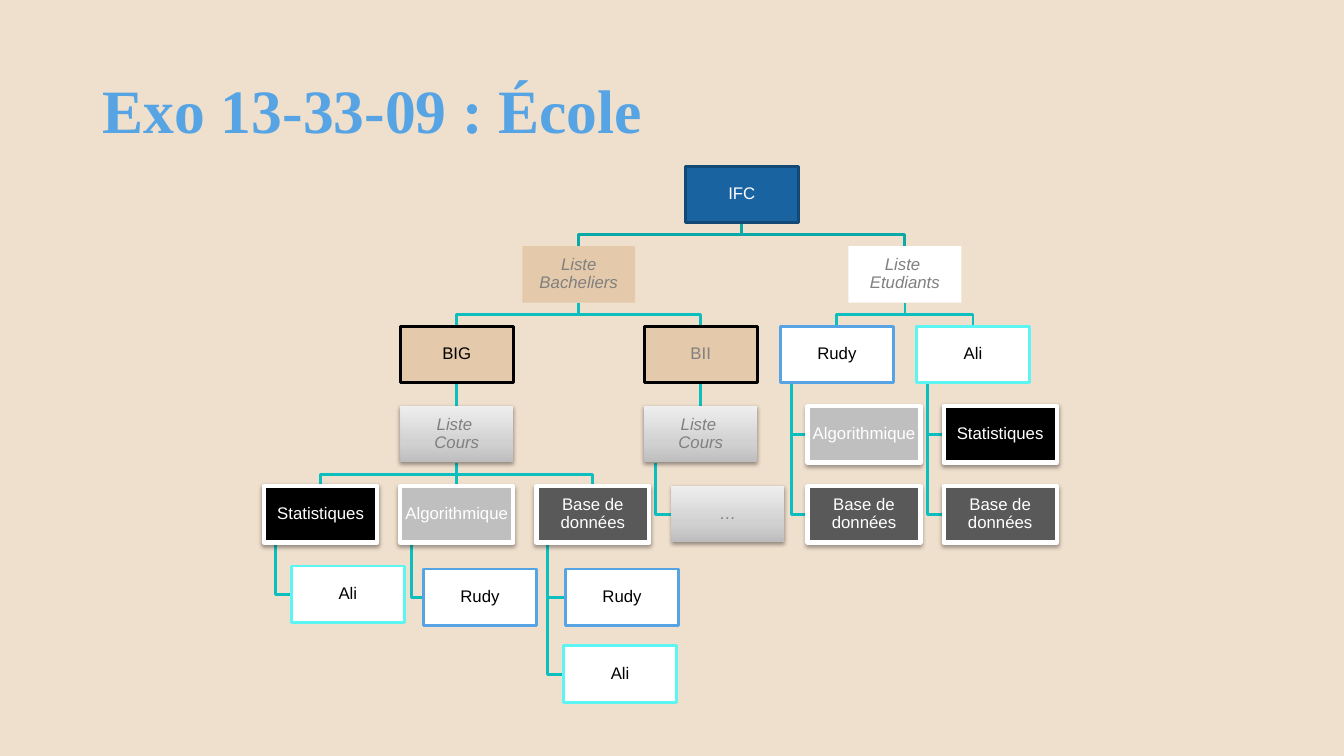
import pptx
import pptx.util
import pptx.dml.color
import pptx.enum.shapes
import pptx.enum.text
import pptx.oxml
import pptx.oxml.ns

Inches = pptx.util.Inches

# Content: each node is (text, style, way its children hang, children, nudge)
TITLE = "Exo 13-33-09 : École"


def node(text, style, way="fork", kids=(), nudge=(0, 0)):
    return dict(text=text, style=style, way=way, kids=kids, nudge=nudge)


def stats(*kids):
    return node("Statistiques", "black", "hang", kids)


def algo(*kids):
    return node("Algorithmique", "silver", "hang", kids)


def data(*kids):
    return node("Base de données", "dark", "hang", kids)


def rudy(*kids, nudge=(0, 0)):
    return node("Rudy", "blue", "hang", kids, nudge)


def ali(*kids):
    return node("Ali", "cyan", "hang", kids)


TREE = node("IFC", "root", kids=[
    node("Liste Bacheliers", "tan", kids=[
        node("BIG", "big", kids=[
            node("Liste \nCours", "grad", kids=[
                stats(ali()),
                algo(rudy(nudge=(-0.04, 0.03))),
                data(rudy(nudge=(0.02, 0.03)), ali()),
            ]),
        ]),
        node("BII", "bii", kids=[
            node("Liste \nCours", "grad", "hang", [node("…", "grad")]),
        ]),
    ]),
    node("Liste \nEtudiants", "white", kids=[
        rudy(algo(), data()),
        ali(stats(), data()),
    ]),
])

# Theme. Box styles: fill, line, line width, text colour, italic, shadow
GRAY = "808080"
THEME = dict(
    back="EFDFCD", title="56A4E4", head="Times New Roman", body="Arial",
    big=44, small=12, link="0CBFBE", top="0AA9A7", wire=2,
    grad=[(0, "BDBDBD"), (35, "D1D1D1"), (100, "EEEEEE")],
    box=dict(
        root=("1963A1", "124977", 2, "FFFFFF", False, None),
        tan=("E4C9AB", None, 0, GRAY, True, None),
        white=("FFFFFF", None, 0, GRAY, True, None),
        big=("E4C9AB", "000000", 2, "000000", False, None),
        bii=("E4C9AB", "000000", 2, GRAY, False, None),
        grad=(None, None, 0, GRAY, True, (38, 1.6)),
        black=("000000", "FFFFFF", 3, "FFFFFF", False, (38, 1.6)),
        silver=("BFBFBF", "FFFFFF", 3, "FFFFFF", False, (35, 1.8)),
        dark=("595959", "FFFFFF", 3, "FFFFFF", False, (35, 1.8)),
        blue=("FFFFFF", "56A4E4", 2, "000000", False, None),
        cyan=("FFFFFF", "5DF5F3", 2, "000000", False, None),
    ),
)

# Layout, in inches
WIDE, HIGH = 1.12, 0.56
TOP, ROW = 1.65, 0.793
STEM, DENT = 0.11, 0.27
COLS = iter([left + 1.35 * i for left in (2.62, 6.39) for i in range(3)])
NS = pptx.oxml.ns.nsdecls("a")


def tint(code):
    return pptx.dml.color.RGBColor.from_string(code)


def write(frame, text, font, size, color, bold=False, italic=False,
          align="CENTER", space=0.9, pad=None):
    frame.word_wrap = True
    frame.vertical_anchor = pptx.enum.text.MSO_ANCHOR.MIDDLE
    if pad is not None:
        frame.margin_left = frame.margin_right = Inches(pad)
        frame.margin_top = frame.margin_bottom = Inches(pad)
    para = frame.paragraphs[0]
    para.alignment = getattr(pptx.enum.text.PP_ALIGN, align)
    para.line_spacing = space
    for i, line in enumerate(text.split("\n")):
        if i:
            para.add_line_break()
        run = para.add_run()
        run.text = line
        run.font.name, run.font.size = font, pptx.util.Pt(size)
        run.font.bold, run.font.italic = bold, italic
        run.font.color.rgb = tint(color)


def place(item, row, left=None):
    """Set the corner of each box; a fork centres over its children."""
    fork = item["way"] == "fork" and item["kids"]
    if fork:
        for kid in item["kids"]:
            place(kid, row + 1)
        left = (item["kids"][0]["x"] + item["kids"][-1]["x"]) / 2
    elif left is None:
        left = next(COLS)
    dx, dy = item["nudge"]
    item["x"], item["y"] = left + dx, TOP + ROW * row + dy
    if not fork:
        for i, kid in enumerate(item["kids"]):
            place(kid, row + 1 + i, left + DENT)


def walk(item):
    yield item
    for kid in item["kids"]:
        yield from walk(kid)


def link(shapes, item, kid, color):
    base = item["y"] + HIGH
    if item["way"] == "hang":
        x, y = item["x"] + STEM, kid["y"] + HIGH / 2
        spots = [(x, base), (x, y), (kid["x"], y)]
    else:
        x, end = item["x"] + WIDE / 2, kid["x"] + WIDE / 2
        mid = (base + kid["y"]) / 2
        spots = [(x, base), (x, mid), (end, mid), (end, kid["y"])]
    spots = [(Inches(x), Inches(y)) for x, y in spots]
    if spots[0][0] == spots[-1][0]:
        wire = shapes.add_connector(
            pptx.enum.shapes.MSO_CONNECTOR.STRAIGHT, *spots[0], *spots[-1])
        wire._element.spPr.append(pptx.oxml.parse_xml(f"<a:effectLst {NS}/>"))
    else:
        form = shapes.build_freeform(*spots[0])
        form.add_line_segments(spots[1:], close=False)
        wire = form.convert_to_shape()
        wire.shadow.inherit = False
        wire.fill.background()
    wire.line.color.rgb = tint(color)
    wire.line.width = pptx.util.Pt(THEME["wire"])


def shade(shape):
    shape.fill.gradient()
    shape.fill.gradient_angle = 90
    stops = shape._element.spPr.find(".//" + pptx.oxml.ns.qn("a:gsLst"))
    for stop in list(stops):
        stops.remove(stop)
    for spot, code in THEME["grad"]:
        stops.append(pptx.oxml.parse_xml(
            f'<a:gs {NS} pos="{spot * 1000}"><a:srgbClr val="{code}"/></a:gs>'))


def draw(shapes, item):
    fill, edge, width, color, italic, drop = THEME["box"][item["style"]]
    spot = [Inches(v) for v in (item["x"], item["y"], WIDE, HIGH)]
    box = shapes.add_shape(pptx.enum.shapes.MSO_SHAPE.RECTANGLE, *spot)
    if fill:
        box.fill.solid()
        box.fill.fore_color.rgb = tint(fill)
    else:
        shade(box)
    if edge:
        box.line.color.rgb = tint(edge)
        box.line.width = pptx.util.Pt(width)
    else:
        box.line.fill.background()
    box.shadow.inherit = False
    if drop:
        alpha, dist = drop
        glow = box._element.spPr.find(pptx.oxml.ns.qn("a:effectLst"))
        glow.append(pptx.oxml.parse_xml(
            f'<a:outerShdw {NS} blurRad="{pptx.util.Pt(3.1)}" '
            f'dist="{pptx.util.Pt(dist)}" dir="5400000" rotWithShape="0">'
            f'<a:srgbClr val="000000"><a:alpha val="{alpha * 1000}"/>'
            '</a:srgbClr></a:outerShdw>'))
    write(box.text_frame, item["text"], THEME["body"], THEME["small"], color,
          italic=italic, pad=0.01)


def main():
    deck = pptx.Presentation()
    deck.slide_width, deck.slide_height = Inches(13.33), Inches(7.5)
    slide = deck.slides.add_slide(deck.slide_layouts[5])
    slide.background.fill.solid()
    slide.background.fill.fore_color.rgb = tint(THEME["back"])

    # Title
    title = slide.shapes.title
    title.left, title.top = Inches(0.92), Inches(0.4)
    title.width, title.height = Inches(11.5), Inches(1.45)
    write(title.text_frame, TITLE, THEME["head"], THEME["big"],
          THEME["title"], bold=True, align="LEFT")

    # Tree: links behind, boxes in front
    place(TREE, 0)
    for item in walk(TREE):
        color = THEME["top"] if item is TREE else THEME["link"]
        for kid in item["kids"]:
            link(slide.shapes, item, kid, color)
    for item in walk(TREE):
        draw(slide.shapes, item)
    deck.save("out.pptx")


if __name__ == "__main__":
    main()
